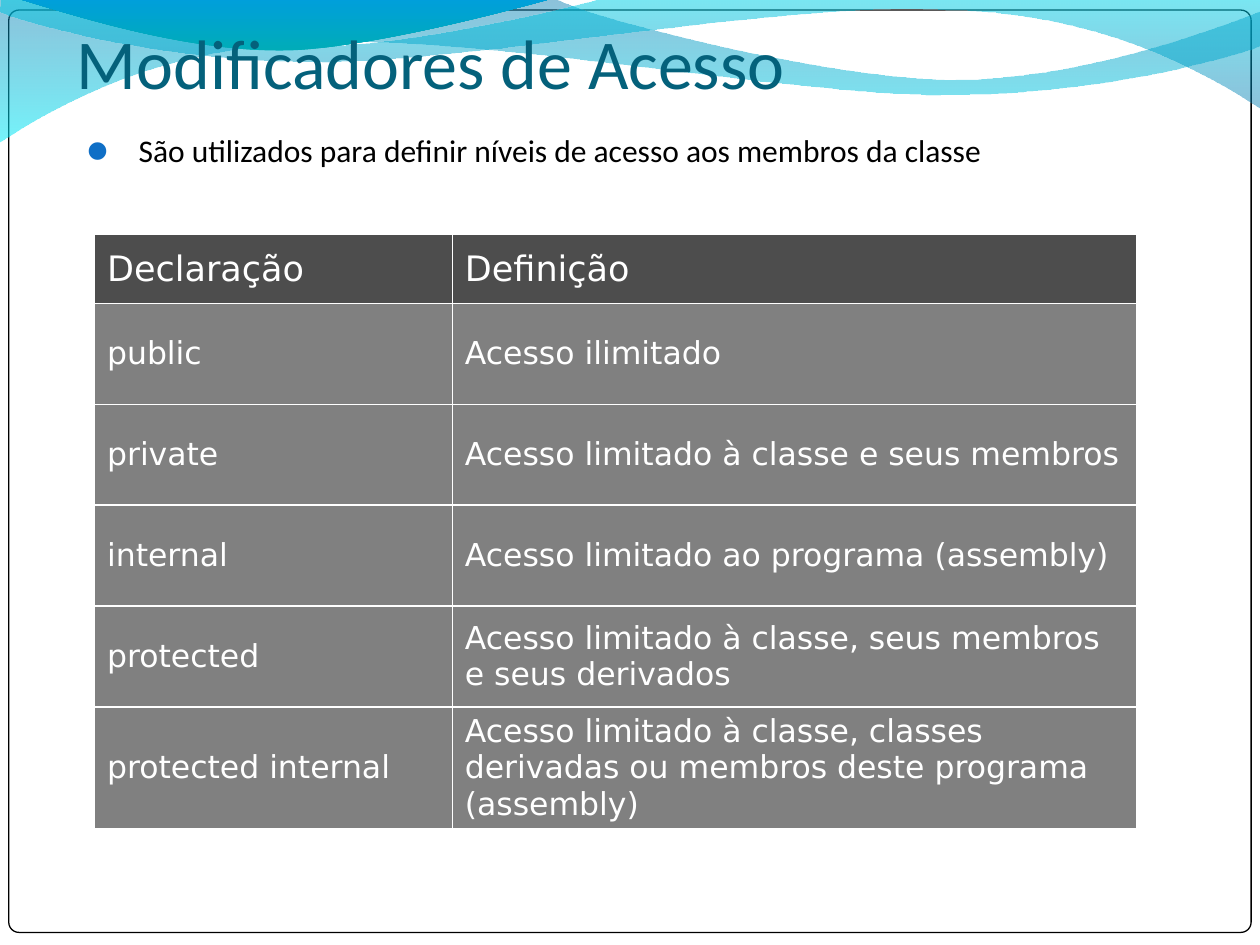
from dataclasses import dataclass

from lxml import etree
from pptx import Presentation
from pptx.dml.color import RGBColor
from pptx.enum.shapes import MSO_SHAPE
from pptx.enum.text import MSO_ANCHOR, MSO_AUTO_SIZE, PP_ALIGN
from pptx.oxml.ns import qn
from pptx.util import Inches, Pt

ROUND_RECT = MSO_SHAPE.ROUNDED_RECTANGLE
TOP, MIDDLE, BOTTOM = MSO_ANCHOR.TOP, MSO_ANCHOR.MIDDLE, MSO_ANCHOR.BOTTOM
LEFT = PP_ALIGN.LEFT
NO_FIT = MSO_AUTO_SIZE.NONE
COLS, ROWS = 100, 75
DOWN, UP = 90, 270


@dataclass(frozen=True)
class Theme:
    text_font: str = "Calibri"
    table_font: str = "DejaVu Sans"
    title_size: int = 40
    body_size: int = 18
    head_size: int = 20
    title: str = "04617B"
    text: str = "000000"
    bullet: str = "0F6FC6"
    paper: str = "FFFFFF"
    head_fill: str = "4D4D4D"
    cell_fill: str = "808080"
    wave: tuple = ((0, "0079AF", 45), (100, "00EBF8", 55))
    crest: tuple = ((0, "00ADB6", 100), (80, "009BE5", 100), (100, "009BE5", 100))


def rgb(value):
    return RGBColor.from_string(value)


def add_xml(parent, tag, **attrs):
    return etree.SubElement(parent, qn(tag), {k: str(v) for k, v in attrs.items()})


class Deck:
    def __init__(self, theme):
        self.theme = theme
        self.prs = Presentation()
        self.prs.slide_width, self.prs.slide_height = Inches(10), Inches(7.5)
        self.unit_x = self.prs.slide_width / COLS
        self.unit_y = self.prs.slide_height / ROWS
        self.slide = self.prs.slides.add_slide(self.prs.slide_layouts[1])
        self.shapes = self.slide.shapes

    def box(self, col, row, cols, rows):
        return (
            int(col * self.unit_x),
            int(row * self.unit_y),
            int(cols * self.unit_x),
            int(rows * self.unit_y),
        )

    def style(self, p, text, size, color, font):
        p.text = text
        p.alignment = LEFT
        p.font.size, p.font.name = Pt(size), font
        p.font.color.rgb = rgb(color)

    def frame(self, *box):
        sp = self.shapes.add_shape(ROUND_RECT, *self.box(*box))
        sp.adjustments[0] = 0.011
        sp.shadow.inherit = False
        sp.fill.solid()
        sp.fill.fore_color.rgb = rgb(self.theme.paper)
        sp.line.color.rgb = rgb(self.theme.text)
        sp.line.width = Pt(0.75)

    def ribbon(self, segments, stops, angle):
        points = [
            (int(x * self.unit_x), int(y * self.unit_y))
            for seg in segments for x, y in seg
        ]
        builder = self.shapes.build_freeform(*points[0])
        builder.add_line_segments(points[1:], close=True)
        sp = builder.convert_to_shape()
        sp.shadow.inherit = False
        sp.line.fill.background()
        self.bend(sp, segments[1:])
        sp.fill.gradient()
        sp.fill.gradient_angle = 360 - angle
        gs_list = next(sp._element.spPr.iter(qn("a:gsLst")))
        gs_list.clear()
        for pos, color, alpha in stops:
            gs = add_xml(gs_list, "a:gs", pos=pos * 1000)
            clr = add_xml(gs, "a:srgbClr", val=color)
            if alpha < 100:
                add_xml(clr, "a:alpha", val=alpha * 1000)

    def bend(self, sp, segments):
        lines = iter(list(sp._element.spPr.iter(qn("a:lnTo"))))
        for seg in segments:
            group = [next(lines) for _ in seg]
            if len(group) == 3:
                curve = etree.Element(qn("a:cubicBezTo"))
                group[0].addprevious(curve)
                for line in group:
                    curve.append(line[0])
                    line.getparent().remove(line)

    def placeholder(self, idx, box, anchor):
        sp = self.slide.placeholders[idx]
        self.shapes._spTree.append(sp._element)
        sp.left, sp.top, sp.width, sp.height = self.box(*box)
        tf = sp.text_frame
        tf.auto_size, tf.word_wrap = NO_FIT, True
        tf.vertical_anchor = anchor
        return tf

    def title(self, text, *box):
        t = self.theme
        tf = self.placeholder(0, box, BOTTOM)
        tf.margin_bottom = Inches(0.1)
        self.style(tf.paragraphs[0], text, t.title_size, t.title, t.text_font)

    def bullet(self, text, *box):
        t = self.theme
        p = self.placeholder(1, box, TOP).paragraphs[0]
        self.style(p, text, t.body_size, t.text, t.text_font)
        p.space_before = Pt(5.8)
        pPr = p._p.get_or_add_pPr()
        pPr.set("marL", str(Inches(0.5)))
        pPr.set("indent", str(Inches(-0.4)))
        clr = add_xml(pPr, "a:buClr")
        add_xml(clr, "a:srgbClr", val=t.bullet)
        char = add_xml(pPr, "a:buChar", char="⚫")
        defaults = pPr.find(qn("a:defRPr"))
        defaults.addprevious(clr)
        defaults.addprevious(char)

    def cell(self, cell, text, size, fill):
        t = self.theme
        tcPr = cell._tc.get_or_add_tcPr()
        for side in ("a:lnL", "a:lnR", "a:lnT", "a:lnB"):
            ln = add_xml(tcPr, side, w=Pt(1))
            add_xml(add_xml(ln, "a:solidFill"), "a:srgbClr", val=t.paper)
        cell.fill.solid()
        cell.fill.fore_color.rgb = rgb(fill)
        cell.vertical_anchor = MIDDLE
        p = cell.text_frame.paragraphs[0]
        self.style(p, text, size, t.paper, t.table_font)
        p.font.bold = False

    def table(self, rows, widths, heights, col, row):
        t = self.theme
        box = self.box(col, row, sum(widths), sum(heights))
        table = self.shapes.add_table(len(rows), len(widths), *box).table
        for column, width in zip(table.columns, widths):
            column.width = int(width * self.unit_x)
        for r, (texts, height) in enumerate(zip(rows, heights)):
            table.rows[r].height = int(height * self.unit_y)
            size, fill = (t.body_size, t.cell_fill) if r else (t.head_size, t.head_fill)
            for c, text in enumerate(texts):
                self.cell(table.cell(r, c), text, size, fill)


def main():
    theme = Theme()
    deck = Deck(theme)
    wave = [
        [(0, -0.1)],
        [(44, -0.1)],
        [(47.6, 1.7), (66.4, 6.3), (75.8, 6.3)],
        [(85.3, 6.3), (95.8, 2.6), (100, 0.9)],
        [(100.1, 3.6)],
        [(98.3, 4.4), (87, 7.6), (74.6, 7.5)],
        [(62.2, 7.5), (38.2, 2.8), (25.7, 3.4)],
        [(12.9, 3.5), (4.6, 8.3), (-0.1, 11.3)],
    ]
    mirrored = [[(100.1 - x, y - 2.6) for x, y in seg] for seg in wave]
    crest = [
        [(52.2, -2.7)],
        [(49.2, -1.5), (31.9, 3.6), (23.2, 4)],
        [(14.5, 4.3), (4, 0.6), (0.1, -0.5)],
        [(0.1, -2.6)],
    ]
    rows = [
        ("Declaração", "Definição"),
        ("public", "Acesso ilimitado"),
        ("private", "Acesso limitado à classe e seus membros"),
        ("internal", "Acesso limitado ao programa (assembly)"),
        ("protected", "Acesso limitado à classe, seus membros e seus derivados"),
        ("protected internal",
         "Acesso limitado à classe, classes derivadas ou membros deste programa (assembly)"),
    ]
    deck.frame(0.7, 0.8, 98.6, 73.2)
    deck.ribbon(wave, theme.wave, DOWN)
    deck.ribbon(mirrored, theme.wave, UP)
    deck.ribbon(crest, theme.crest, UP)
    deck.title("Modificadores de Acesso", 5.1, 1.3, 90, 7.9)
    deck.bullet("São utilizados para definir níveis de acesso aos membros da classe",
                5, 9.9, 86.7, 59.1)
    deck.table(rows, [28.4, 54.3], [5.5] + [8] * 5, 7.5, 18.6)
    deck.prs.save("out.pptx")


if __name__ == "__main__":
    main()
